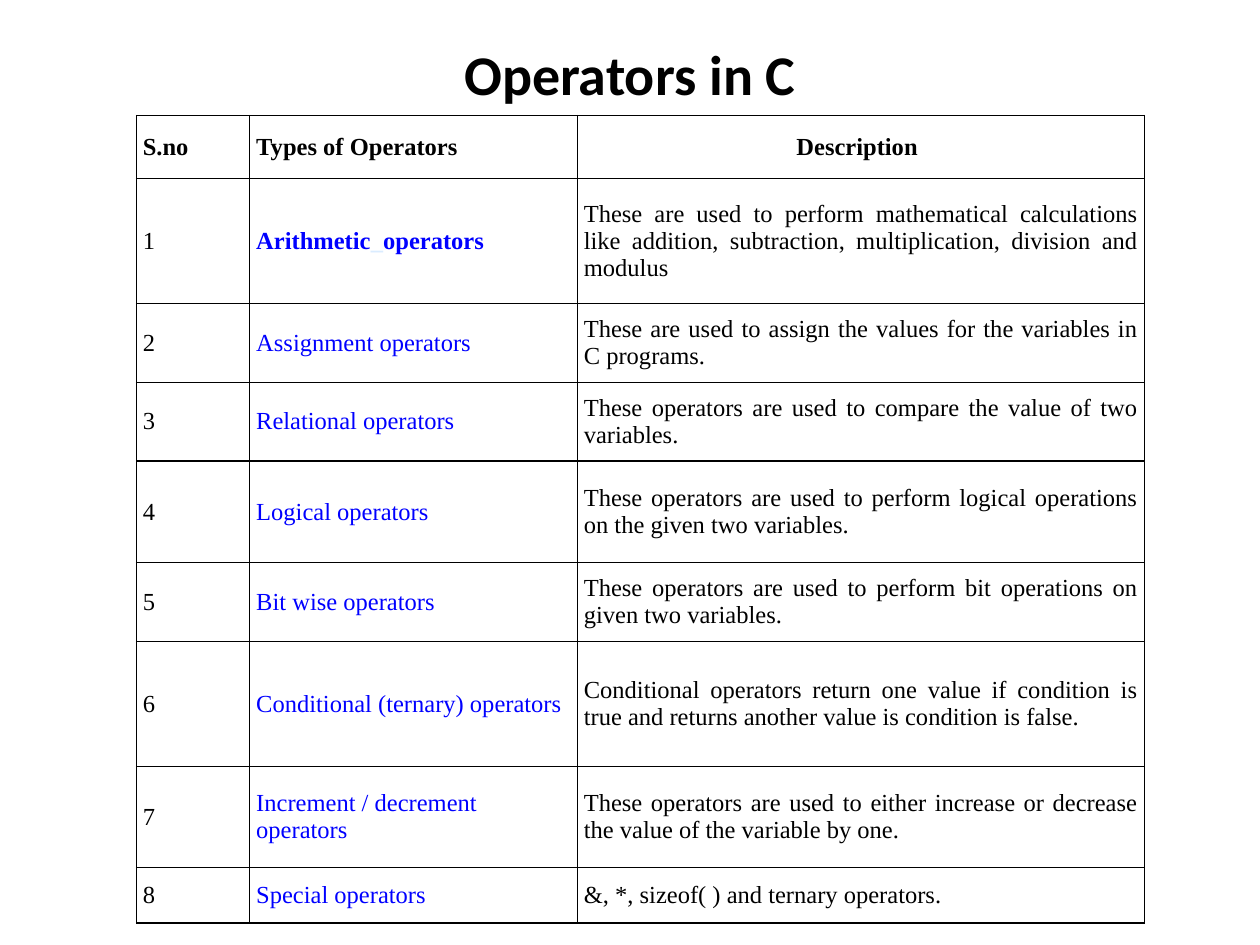
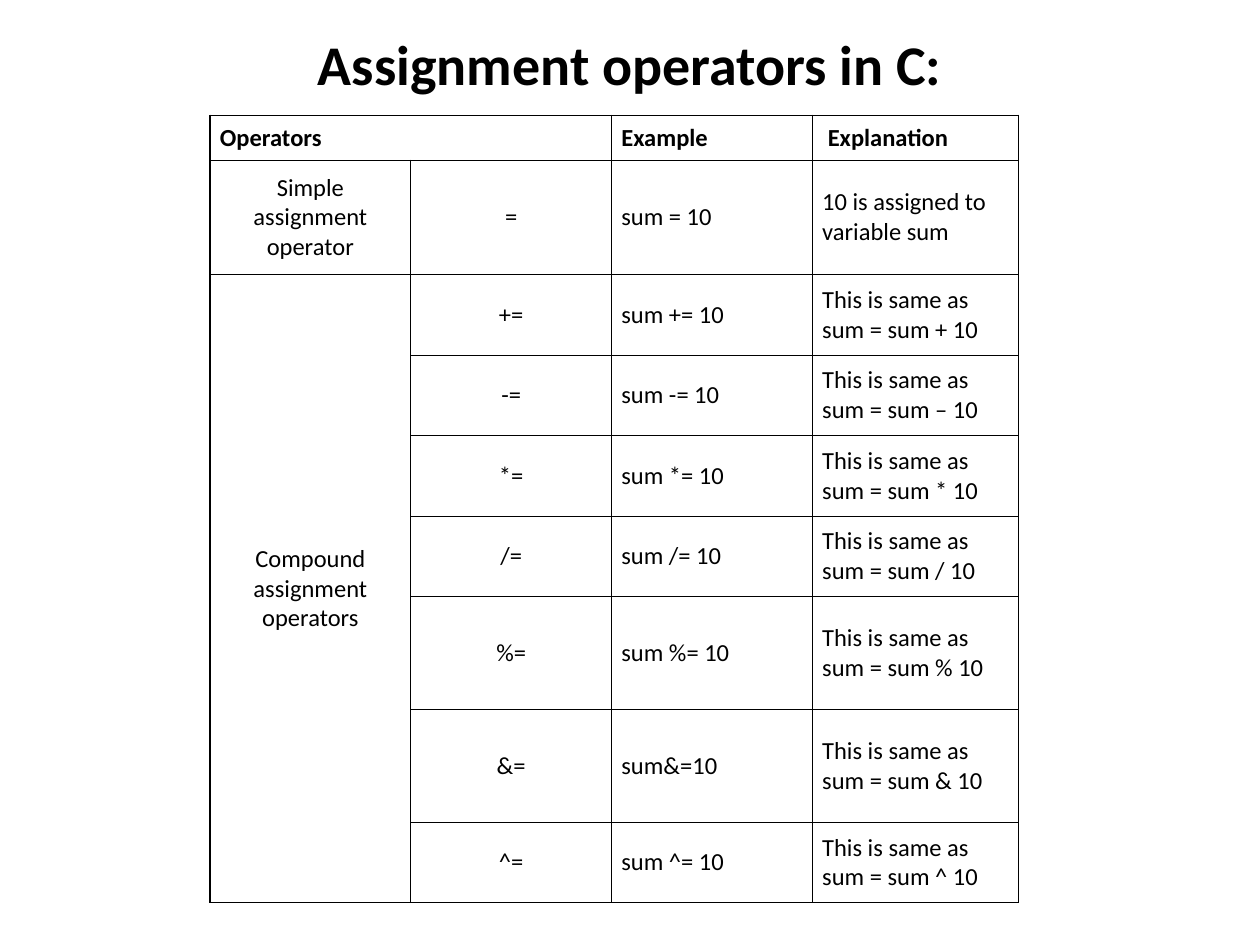
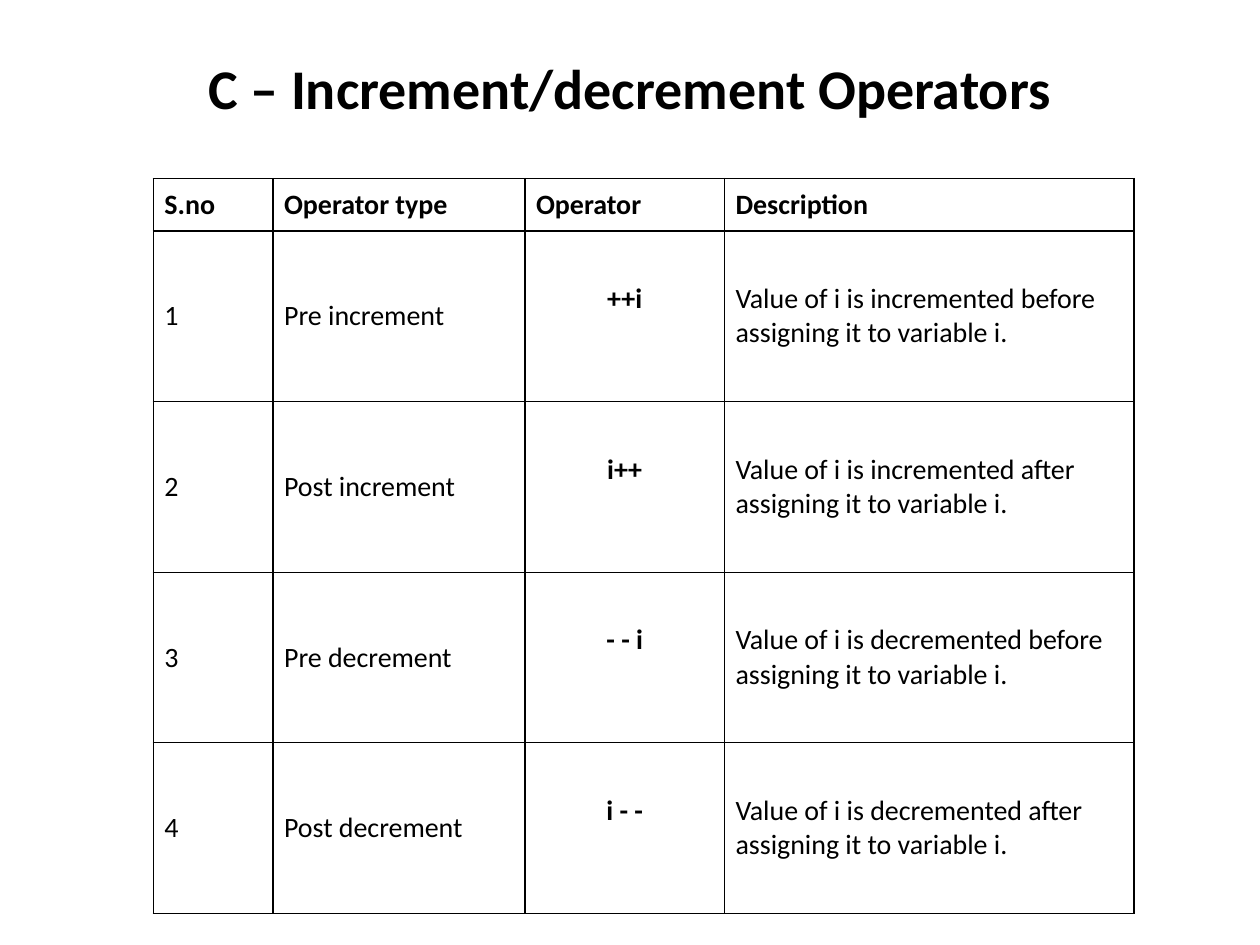
"""Build three slides of tables about operators in C."""
from dataclasses import dataclass

from lxml import etree
from pptx import Presentation
from pptx.dml.color import RGBColor
from pptx.enum import text as t
from pptx.oxml import ns
from pptx.util import Pt

BLACK = RGBColor(0x00, 0x00, 0x00)
WHITE = RGBColor(0xFF, 0xFF, 0xFF)
BLUE = RGBColor(0x00, 0x00, 0xFF)
PALE_BLUE = RGBColor(0xDA, 0xEC, 0xFF)
LEFT, CENTER, JUSTIFY = t.PP_ALIGN.LEFT, t.PP_ALIGN.CENTER, t.PP_ALIGN.JUSTIFY
HEADING_FONT = "Calibri"
BORDER_WIDTH = Pt(0.75)

OPERATOR_TYPES = [
    ("S.no", "Types of Operators", "Description"),
    ("1", "Arithmetic_operators",
     "These are used to perform mathematical calculations like addition, "
     "subtraction, multiplication, division and modulus"),
    ("2", "Assignment operators",
     "These are used to assign the values for the variables in C programs."),
    ("3", "Relational operators",
     "These operators are used to compare the value of two variables."),
    ("4", "Logical operators",
     "These operators are used to perform logical operations on the given two variables."),
    ("5", "Bit wise operators",
     "These operators are used to perform bit operations on given two variables."),
    ("6", "Conditional (ternary) operators",
     "Conditional operators return one value if condition is true and returns "
     "another value is condition is false."),
    ("7", "Increment / decrement operators",
     "These operators are used to either increase or decrease the value of the "
     "variable by one."),
    ("8", "Special operators", "&, *, sizeof( ) and ternary operators."),
]

COMPOUND_OPERATORS = [
    ("+=", "sum += 10", "+"), ("-=", "sum -= 10", "–"), ("*=", "sum *= 10", "*"),
    ("/=", "sum /= 10", "/"), ("%=", "sum %= 10", "%"), ("&=", "sum&=10", "&"),
    ("^=", "sum ^= 10", "^"),
]

STEP_OPERATORS = [
    ("Pre increment", "++i", "incremented before"),
    ("Post increment", "i++", "incremented after"),
    ("Pre decrement", "- - i", "decremented before"),
    ("Post decrement", "i - -", "decremented after"),
]


@dataclass
class GridStyle:
    """Look of one table."""
    font: str
    size: float
    side_margin: float
    edge_margin: float
    header_aligns: tuple
    body_aligns: tuple


def format_runs(paragraph, font, size, bold):
    """Give every run of a paragraph the same black lettering."""
    for run in paragraph.runs:
        run.font.name = font
        run.font.size = Pt(size)
        run.font.bold = bold
        run.font.color.rgb = BLACK


def add_title(slide, heading, top, height):
    """Add the centred slide heading."""
    frame = slide.shapes.add_textbox(Pt(36), Pt(top), Pt(648), Pt(height)).text_frame
    frame.word_wrap = True
    frame.vertical_anchor = t.MSO_ANCHOR.MIDDLE
    frame.text = heading
    frame.paragraphs[0].alignment = CENTER
    format_runs(frame.paragraphs[0], HEADING_FONT, 32, True)


def add_borders(cell):
    """Draw a thin black line on all four sides of a cell."""
    properties = cell._tc.get_or_add_tcPr()
    for side in ("a:lnL", "a:lnR", "a:lnT", "a:lnB"):
        line = etree.SubElement(properties, ns.qn(side), w=str(BORDER_WIDTH))
        fill = etree.SubElement(line, ns.qn("a:solidFill"))
        etree.SubElement(fill, ns.qn("a:srgbClr"), val=str(BLACK))


def fill_cell(cell, words, style, align, bold):
    """Write and format one table cell."""
    cell.margin_left = cell.margin_right = Pt(style.side_margin)
    cell.margin_top = cell.margin_bottom = Pt(style.edge_margin)
    cell.vertical_anchor = t.MSO_ANCHOR.MIDDLE
    add_borders(cell)
    cell.fill.solid()
    cell.fill.fore_color.rgb = WHITE
    cell.text_frame.text = words
    paragraph = cell.text_frame.paragraphs[0]
    paragraph.alignment = align
    format_runs(paragraph, style.font, style.size, bold)


def add_grid(slide, left, top, widths, heights, rows, style):
    """Add a bordered table with a bold header row and return it."""
    table = slide.shapes.add_table(
        len(rows), len(widths), Pt(left), Pt(top),
        Pt(sum(widths)), Pt(sum(heights))).table
    table.first_row = table.horz_banding = False
    for column, width in zip(table.columns, widths):
        column.width = Pt(width)
    for row, height in zip(table.rows, heights):
        row.height = Pt(height)
    for r, row_words in enumerate(rows):
        aligns = style.body_aligns if r else style.header_aligns
        for c, words in enumerate(row_words):
            fill_cell(table.cell(r, c), words, style, aligns[c], r == 0)
    return table


def color_operator_names(table):
    """Turn the names of the operator types blue and set off the first one."""
    names = [table.cell(r, 1).text_frame.paragraphs[0]
             for r in range(1, len(table.rows))]
    arithmetic = names[0]
    first, last = arithmetic.text.split("_")
    arithmetic.runs[0].text = first
    for piece in ("_", last):
        arithmetic.add_run().text = piece
    format_runs(arithmetic, "Times New Roman", 14, True)
    for name in names:
        for run in name.runs:
            run.font.color.rgb = PALE_BLUE if run.text == "_" else BLUE


def build_operator_types(slide):
    """Build the overview of operator types."""
    add_title(slide, "Operators in C", 18, 48)
    style = GridStyle("Times New Roman", 14, 3.6, 1.4,
                      (LEFT, LEFT, CENTER), (LEFT, LEFT, JUSTIFY))
    table = add_grid(slide, 78, 66, (64.8, 187.2, 324),
                     (36, 71.5, 45, 45, 58, 45, 71.5, 58, 31.5),
                     OPERATOR_TYPES, style)
    color_operator_names(table)
    table.cell(0, 2).margin_right = Pt(8)


def build_assignment(slide):
    """Build the table of assignment operators."""
    add_title(slide, "Assignment operators in C:", 6, 60)
    rows = [("Operators", "", "Example", "Explanation"),
            ("Simple assignment operator", "=", "sum = 10",
             "10 is assigned to variable sum")]
    for index, (symbol, example, sign) in enumerate(COMPOUND_OPERATORS):
        group = "" if index else "Compound assignment operators"
        rows.append((group, symbol, example, f"This is same as sum = sum {sign} 10"))
    style = GridStyle(HEADING_FONT, 14, 5.6, 2.8,
                      (LEFT,) * 4, (CENTER, CENTER, LEFT, LEFT))
    table = add_grid(slide, 120, 65.75, (114.75, 114.75, 114.75, 118),
                     (25.75, 65.5, 46, 46, 46, 46, 64.5, 64.5, 46), rows, style)
    table.cell(0, 0).merge(table.cell(0, 1))
    table.cell(2, 0).merge(table.cell(len(rows) - 1, 0))
    table.cell(0, 3).margin_left = Pt(8.8)


def build_increment(slide):
    """Build the table of increment and decrement operators."""
    add_title(slide, "C – Increment/decrement Operators", 21.6, 56.4)
    rows = [("S.no", "Operator type", "Operator", "Description")]
    for number, (kind, symbol, change) in enumerate(STEP_OPERATORS, 1):
        rows.append((str(number), kind, symbol,
                     f"Value of i is {change} assigning it to variable i."))
    style = GridStyle(HEADING_FONT, 16, 6.4, 3.2,
                      (LEFT,) * 4, (LEFT, LEFT, CENTER, LEFT))
    table = add_grid(slide, 87.6, 102, (68.4, 144, 114, 234),
                     (30,) + (97.5,) * len(STEP_OPERATORS), rows, style)
    for r in range(1, len(rows)):
        symbol_cell = table.cell(r, 2)
        symbol_cell.margin_bottom = Pt(22.7)
        symbol_cell.text_frame.paragraphs[0].runs[0].font.bold = True


def main():
    """Create the presentation and save it."""
    deck = Presentation()
    deck.slide_width, deck.slide_height = Pt(720), Pt(540)
    for build in (build_operator_types, build_assignment, build_increment):
        build(deck.slides.add_slide(deck.slide_layouts[6]))
    deck.save("out.pptx")


if __name__ == "__main__":
    main()
